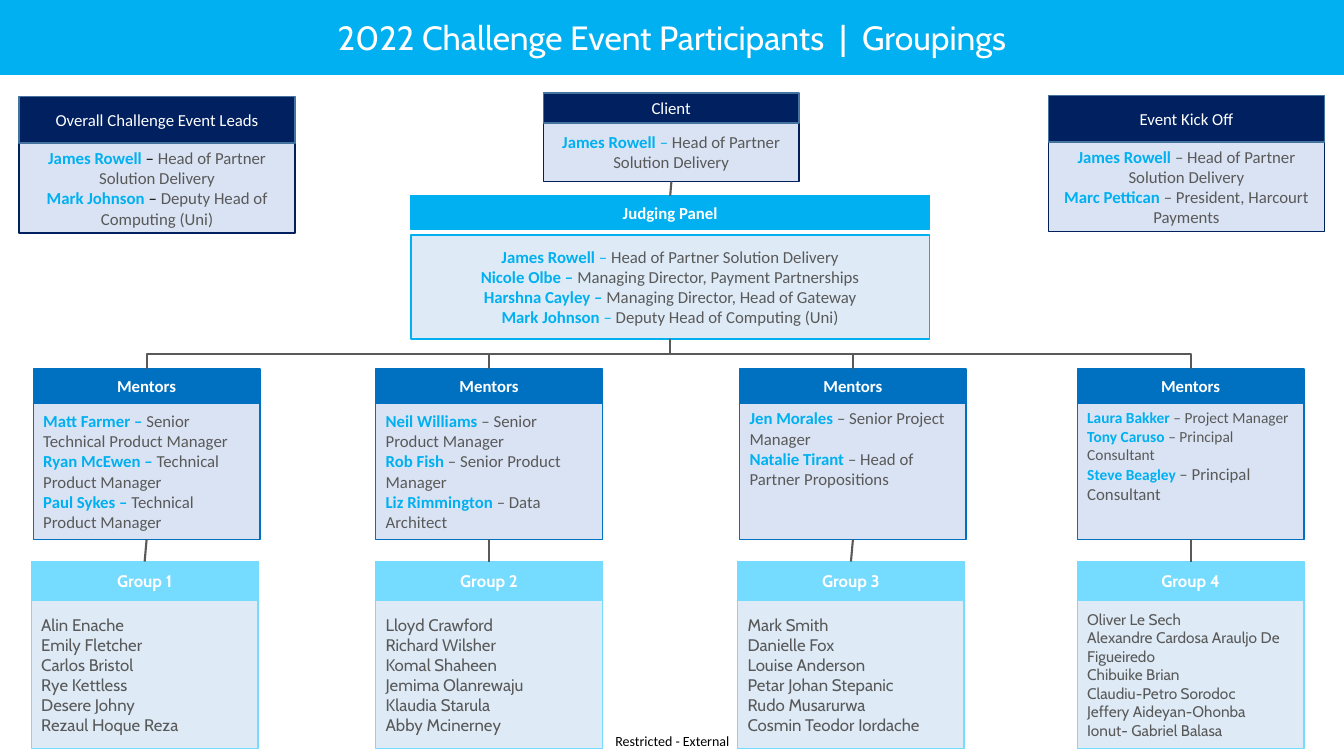
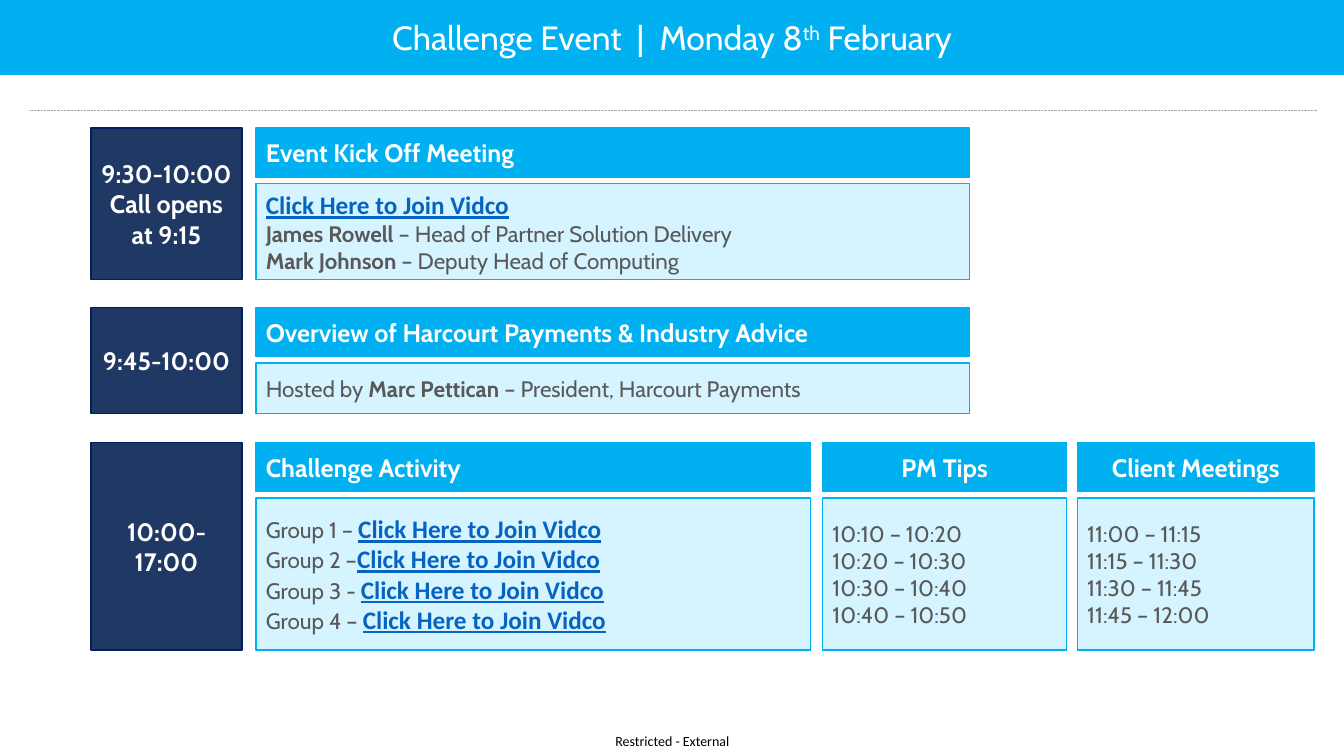
from dataclasses import dataclass, replace

from lxml.etree import SubElement
from pptx import Presentation
from pptx.dml.color import RGBColor
from pptx.enum.dml import MSO_LINE
from pptx.enum.shapes import MSO_CONNECTOR, MSO_SHAPE
from pptx.enum.text import MSO_ANCHOR, MSO_AUTO_SIZE, PP_ALIGN
from pptx.oxml.ns import qn
from pptx.util import Cm, Pt


@dataclass(frozen=True)
class Style:
    """Look of a run of text."""
    size: float
    color: str
    font: str = "Calibri"
    bold: bool = False
    underline: bool = False
    baseline: int = 0


@dataclass(frozen=True)
class CardLook:
    """Colours and alignment of a heading with its body."""
    head_fill: str
    head_line: str
    body_fill: str
    body_line: str
    heading: Style
    head_align: PP_ALIGN = PP_ALIGN.CENTER
    body_align: PP_ALIGN = PP_ALIGN.LEFT


@dataclass(frozen=True)
class Theme:
    """Colours, type sizes and card looks of the deck."""
    white: str = "FFFFFF"
    cyan: str = "00B0F0"
    navy: str = "002060"
    slate: str = "203864"
    blue: str = "0070C0"
    sky: str = "75DBFF"
    steel: str = "43739E"
    lavender: str = "DAE3F3"
    pale: str = "DEEBF7"
    ice: str = "D5F4FF"
    grey: str = "595959"
    rule: str = "A6A6A6"
    title = Style(24, white, "Cabin")
    ordinal = replace(title, baseline=30000)
    footer = Style(10, "000000")
    label = Style(12, white)
    label_bold = replace(label, bold=True)
    name = Style(12, cyan, bold=True)
    dash = Style(12, cyan)
    dark_dash = Style(12, "000000")
    role = Style(12, grey)
    small_name = replace(name, size=11)
    small_role = replace(role, size=11)
    member = Style(12, grey, "Cabin")
    small_member = replace(member, size=11)
    agenda_head = Style(18, white, "Cabin", bold=True)
    agenda = Style(16, grey, "Cabin")
    agenda_name = replace(agenda, bold=True)
    join = Style(18, "0563C1", bold=True, underline=True)
    lead_card = CardLook(navy, steel, lavender, navy, label, body_align=PP_ALIGN.CENTER)
    judge_card = CardLook(cyan, cyan, pale, cyan, label_bold, body_align=PP_ALIGN.CENTER)
    mentor_card = CardLook(blue, blue, lavender, blue, label_bold)
    group_card = CardLook(sky, sky, pale, sky, replace(label_bold, font="Cabin"))
    tips_card = CardLook(cyan, cyan, ice, cyan, agenda_head)
    agenda_card = replace(tips_card, head_align=PP_ALIGN.LEFT)


THEME = Theme()
WIDTH, HEIGHT = 33.87, 19.05


def person(name, role, name_style=THEME.name, role_style=THEME.role, dash=None):
    """Return the runs of a person's line, with an optional separately styled dash."""
    separator = [("– ", dash)] if dash else []
    return [(name, name_style), *separator, (role, role_style)]


def lines(texts, style):
    """Return one single-run paragraph per text."""
    return [[(text, style)] for text in texts]


class Deck:
    """Holds the theme and the slide being built."""

    def __init__(self, theme):
        """Open an empty widescreen presentation."""
        self.theme = theme
        self.presentation = Presentation()
        self.presentation.slide_width = Cm(WIDTH)
        self.presentation.slide_height = Cm(HEIGHT)
        self.slide = None

    def new_slide(self, title_runs):
        """Add a slide with its title band and footer."""
        self.slide = self.presentation.slides.add_slide(self.presentation.slide_layouts[5])
        band = self.slide.shapes.title
        band.left, band.top, band.width, band.height = Cm(0), Cm(0), Cm(WIDTH), Cm(1.88)
        self.paint(band, self.theme.cyan, self.theme.cyan)
        self.fill_text(band.text_frame, [title_runs], PP_ALIGN.CENTER)
        footer = self.slide.shapes.add_textbox(Cm(15.09), Cm(18.31), Cm(3.71), Cm(0.74)).text_frame
        footer.margin_left = footer.margin_right = footer.margin_top = footer.margin_bottom = 0
        self.fill_text(footer, lines(["Restricted - External"], self.theme.footer), PP_ALIGN.CENTER)

    def paint(self, shape, fill, line):
        """Give a shape its fill and outline."""
        shape.fill.solid()
        shape.fill.fore_color.rgb = RGBColor.from_string(fill)
        shape.line.color.rgb = RGBColor.from_string(line)
        shape.line.width = Pt(1)

    def fill_text(self, frame, paragraphs, align, anchor=MSO_ANCHOR.MIDDLE):
        """Fill a text frame with paragraphs of styled runs."""
        frame.word_wrap = True
        frame.auto_size = MSO_AUTO_SIZE.NONE
        frame.vertical_anchor = anchor
        for index, runs in enumerate(paragraphs):
            paragraph = frame.add_paragraph() if index else frame.paragraphs[0]
            paragraph.alignment = align
            for text, style in runs:
                run = paragraph.add_run()
                run.text = text
                font = run.font
                font.name, font.size = style.font, Pt(style.size)
                font.bold, font.underline = style.bold, style.underline
                font.color.rgb = RGBColor.from_string(style.color)
                if style.baseline:
                    run._r.get_or_add_rPr().set("baseline", str(style.baseline))

    def box(self, left, top, width, height, fill, line, paragraphs, align, anchor=MSO_ANCHOR.MIDDLE):
        """Add a filled rectangle with text."""
        shape = self.slide.shapes.add_shape(
            MSO_SHAPE.RECTANGLE, Cm(left), Cm(top), Cm(width), Cm(height))
        shape.shadow.inherit = False
        self.paint(shape, fill, line)
        self.fill_text(shape.text_frame, paragraphs, align, anchor)

    def card(self, look, left, top, width, head_height, body_height, heading, body,
             gap=0, anchor=MSO_ANCHOR.MIDDLE):
        """Add a body box with its heading box above."""
        self.box(left, top + head_height + gap, width, body_height,
                 look.body_fill, look.body_line, body, look.body_align, anchor)
        self.box(left, top, width, head_height, look.head_fill, look.head_line,
                 lines([heading], look.heading), look.head_align)

    def line(self, x1, y1, x2, y2, color=THEME.grey, weight=1.5, kind=MSO_CONNECTOR.STRAIGHT):
        """Add a connector without shadow and return it."""
        connector = self.slide.shapes.add_connector(kind, Cm(x1), Cm(y1), Cm(x2), Cm(y2))
        connector.line.color.rgb = RGBColor.from_string(color)
        connector.line.width = Pt(weight)
        SubElement(connector.element.spPr, qn("a:effectLst"))
        return connector

    def branch(self, x1, y1, x2, y2):
        """Add an elbow that leaves and arrives vertically."""
        middle_x, middle_y = (x1 + x2) / 2, (y1 + y2) / 2
        half_drop, half_span = (y2 - y1) / 2, abs(x2 - x1) / 2
        elbow = self.line(middle_x - half_drop, middle_y - half_span,
                          middle_x + half_drop, middle_y + half_span, kind=MSO_CONNECTOR.ELBOW)
        frame = elbow.element.spPr.find(qn("a:xfrm"))
        frame.set("rot", "5400000" if x2 < x1 else "16200000")
        if x2 > x1:
            frame.set("flipH", "1")


def build_groupings(deck):
    """Build the organisation chart of participants."""
    t = deck.theme
    deck.new_slide([("2022 Challenge Event Participants  |  Groupings", t.title)])
    head_partner = "Head of Partner Solution Delivery"
    deputy = "Deputy Head of Computing (Uni)"
    deck.card(t.lead_card, 13.69, 2.34, 6.45, 0.76, 1.47, "Client",
              [person("James Rowell ", head_partner, dash=t.dash)])
    deck.card(t.judge_card, 10.36, 4.93, 13.06, 0.86, 2.62, "Judging Panel", [
        person("James Rowell ", head_partner, dash=t.dash),
        person("Nicole Olbe – ", "Managing Director, Payment Partnerships"),
        person("Harshna Cayley – ", "Managing Director, Head of Gateway"),
        person("Mark Johnson ", deputy, dash=t.dash)], gap=0.13)
    deck.card(t.lead_card, 0.48, 2.44, 6.96, 1.17, 2.26, "Overall Challenge Event Leads", [
        person("James Rowell ", head_partner, dash=t.dark_dash),
        person("Mark Johnson ", deputy, dash=t.dark_dash)])
    deck.card(t.lead_card, 26.42, 2.41, 6.96, 1.17, 2.26, "Event Kick Off", [
        person("James Rowell ", "– " + head_partner),
        person("Marc Pettican ", "– President, Harcourt Payments")])

    teams = [
        (0.84, 0.79, MSO_ANCHOR.MIDDLE, t.member,
         [person("Matt Farmer – ", "Senior Technical Product Manager"),
          person("Ryan McEwen – ", "Technical Product Manager"),
          person("Paul Sykes – ", "Technical Product Manager")],
         ["Alin Enache", "Emily Fletcher", "Carlos Bristol", "Rye Kettless",
          "Desere Johny", "Rezaul Hoque Reza"]),
        (9.47, 9.47, MSO_ANCHOR.MIDDLE, t.member,
         [person("Neil Williams ", "– Senior Product Manager"),
          person("Rob Fish ", "– Senior Product Manager"),
          person("Liz Rimmington ", "– Data Architect")],
         ["Lloyd Crawford", "Richard Wilsher", "Komal Shaheen", "Jemima Olanrewaju",
          "Klaudia Starula", "Abby Mcinerney"]),
        (18.64, 18.59, MSO_ANCHOR.TOP, t.member,
         [person("Jen Morales ", "– Senior Project Manager"),
          person("Natalie Tirant ", "– Head of Partner Propositions")],
         ["Mark Smith", "Danielle Fox", "Louise Anderson", "Petar Johan Stepanic",
          "Rudo Musarurwa", "Cosmin Teodor Iordache"]),
        (27.15, 27.15, MSO_ANCHOR.TOP, t.small_member,
         [person("Laura Bakker ", "– Project Manager", t.small_name, t.small_role),
          person("Tony Caruso ", "– Principal Consultant", t.small_name, t.small_role),
          person("Steve Beagley ", "– Principal Consultant", t.small_name)],
         ["Oliver Le Sech", "Alexandre Cardosa Arauljo De Figueiredo", "Chibuike Brian",
          "Claudiu-Petro Sorodoc", "Jeffery Aideyan-Ohonba", "Ionut- Gabriel Balasa"]),
    ]
    team_width, mentor_top, group_top, panel_x = 5.71, 9.3, 14.15, 16.89
    deck.line(16.92, 4.57, panel_x, 4.93)
    for number, (mentor_left, group_left, anchor, style, mentors, members) in enumerate(teams, 1):
        deck.card(t.mentor_card, mentor_left, mentor_top, team_width, 0.86, 3.43,
                  "Mentors", mentors, anchor=anchor)
        deck.card(t.group_card, group_left, group_top, team_width, 0.99, 3.73,
                  f"Group {number}", lines(members, style))
        mentor_x, group_x = mentor_left + team_width / 2, group_left + team_width / 2
        deck.line(mentor_x, 13.59, group_x, group_top)
        deck.branch(panel_x, 8.54, mentor_x, mentor_top)


def build_agenda(deck):
    """Build the timetable of the event day."""
    t = deck.theme
    deck.new_slide([("Challenge Event  |  Monday 8", t.title), ("th", t.ordinal),
                    (" February", t.title)])
    divider = deck.line(0.74, 2.79, 33.2, 2.79, t.rule, 0.5)
    divider.line.dash_style = MSO_LINE.ROUND_DOT
    join = ("Click Here to Join Vidco", t.join)
    kick_off = [[join],
                person("James Rowell ", "– Head of Partner Solution Delivery", t.agenda_name, t.agenda),
                person("Mark Johnson ", "– Deputy Head of Computing", t.agenda_name, t.agenda)]
    overview = [[("Hosted by ", t.agenda), ("Marc Pettican ", t.agenda_name),
                 ("– President, Harcourt Payments", t.agenda)]]
    activity = [[(group, t.agenda), join]
                for group in ("Group 1 – ", "Group 2 –", "Group 3 - ", "Group 4 – ")]
    tips = lines(["10:10 – 10:20", "10:20 – 10:30", "10:30 – 10:40", "10:40 – 10:50"], t.agenda)
    meetings = lines(["11:00 – 11:15", "11:15 – 11:30", "11:30 – 11:45", "11:45 – 12:00"], t.agenda)
    sessions = [
        (3.23, 3.81, ["9:30-10:00", "Call opens at 9:15"],
         [(t.agenda_card, 6.45, 17.98, "Event Kick Off Meeting", kick_off)]),
        (7.75, 2.67, ["9:45-10:00"],
         [(t.agenda_card, 6.45, 17.98, "Overview of Harcourt Payments & Industry Advice", overview)]),
        (11.15, 5.23, ["10:00-17:00"],
         [(t.agenda_card, 6.45, 13.97, "Challenge Activity", activity),
          (t.tips_card, 20.73, 6.15, "PM Tips", tips),
          (t.tips_card, 27.15, 5.97, "Client Meetings", meetings)]),
    ]
    head_height, gap = 1.24, 0.16
    for top, height, times, cards in sessions:
        deck.box(2.29, top, 3.81, height, t.slate, t.navy,
                 lines(times, t.agenda_head), PP_ALIGN.CENTER)
        for look, left, width, heading, body in cards:
            deck.card(look, left, top, width, head_height, height - head_height - gap,
                      heading, body, gap)


def main():
    """Build both slides and save the deck."""
    deck = Deck(THEME)
    build_groupings(deck)
    build_agenda(deck)
    deck.presentation.save("out.pptx")


if __name__ == "__main__":
    main()
